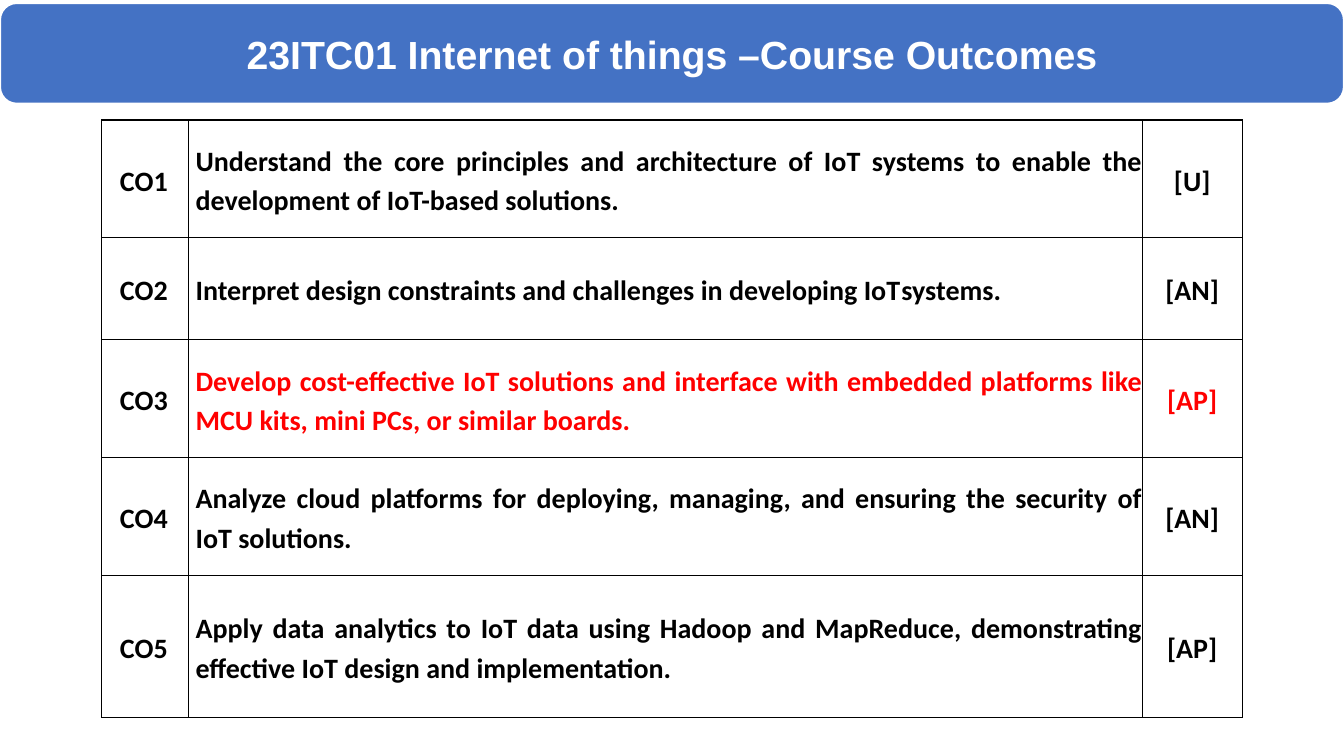
from dataclasses import dataclass

from lxml import etree
from pptx import Presentation
from pptx.dml.color import RGBColor
from pptx.enum.shapes import MSO_SHAPE
from pptx.enum.text import MSO_ANCHOR, PP_ALIGN
from pptx.oxml.ns import qn
from pptx.util import Inches, Pt

ROUND_RECT = MSO_SHAPE.ROUNDED_RECTANGLE
MIDDLE = MSO_ANCHOR.MIDDLE
LEFT, CENTER, JUSTIFY = PP_ALIGN.LEFT, PP_ALIGN.CENTER, PP_ALIGN.JUSTIFY


@dataclass(frozen=True)
class Theme:
    banner: str = "4472C4"
    white: str = "FFFFFF"
    ink: str = "000000"
    accent: str = "FF0000"
    title_font: str = "Arial"
    body_font: str = "Calibri"
    title_size: int = 28
    body_size: int = 20


THEME = Theme()
COLUMN_WIDTHS = (0.86, 9.46, 0.99)
COLUMN_STYLES = ((LEFT, 0.18), (JUSTIFY, 0.07), (CENTER, 0))  # alignment, indent
TAB_STOP = 7.24

# Row height, outcome, level, colour of outcome and level
OUTCOMES = (
    (1.17, "Understand the core principles and architecture of IoT systems "
           "to enable the development of IoT-based solutions.", "[U]", THEME.ink),
    (1.01, "Interpret design constraints and challenges in developing "
           "IoT\tsystems.", "[AN]", THEME.ink),
    (1.17, "Develop cost-effective IoT solutions and interface with embedded "
           "platforms like MCU kits, mini PCs, or similar boards.", "[AP]", THEME.accent),
    (1.17, "Analyze cloud platforms for deploying, managing, and ensuring "
           "the security of IoT solutions.", "[AN]", THEME.ink),
    (1.41, "Apply data analytics to IoT data using Hadoop and MapReduce, "
           "demonstrating effective IoT design and implementation.", "[AP]", THEME.ink),
)


def style_font(p, name, size, color):
    p.font.name = name
    p.font.size = Pt(size)
    p.font.bold = True
    p.font.color.rgb = RGBColor.from_string(color)


def add_banner(slide, text):
    sp = slide.shapes.add_shape(ROUND_RECT, 0, Inches(0.03), Inches(13.33), Inches(1))
    sp.shadow.inherit = False
    sp.fill.solid()
    sp.fill.fore_color.rgb = RGBColor.from_string(THEME.banner)
    sp.line.color.rgb = RGBColor.from_string(THEME.white)
    sp.line.width = Pt(1.5)
    tf = sp.text_frame
    tf.vertical_anchor = MIDDLE
    p = tf.paragraphs[0]
    p.text = text
    p.alignment = CENTER
    style_font(p, THEME.title_font, THEME.title_size, THEME.white)


def set_borders(cell):
    tc_pr = cell._tc.get_or_add_tcPr()
    for i, side in enumerate(("lnL", "lnR", "lnT", "lnB")):
        ln = etree.Element(qn(f"a:{side}"), w=str(Pt(1)))
        fill = etree.SubElement(ln, qn("a:solidFill"))
        etree.SubElement(fill, qn("a:srgbClr"), val=THEME.ink)
        tc_pr.insert(i, ln)


def fill_cell(cell, text, align, indent, color):
    cell.margin_left = cell.margin_right = cell.margin_top = cell.margin_bottom = 0
    cell.vertical_anchor = MIDDLE
    cell.fill.background()
    set_borders(cell)
    p = cell.text_frame.paragraphs[0]
    p.text = text
    p.alignment = align
    p.line_spacing = 1.15
    p_pr = p._p.get_or_add_pPr()
    p_pr.set("marL", str(Inches(indent)))
    p_pr.set("indent", "0")
    if "\t" in text:
        tabs = etree.SubElement(p_pr, qn("a:tabLst"))
        etree.SubElement(tabs, qn("a:tab"), pos=str(Inches(TAB_STOP)), algn="l")
    style_font(p, THEME.body_font, THEME.body_size, color)


def add_outcome_table(slide):
    height = sum(row[0] for row in OUTCOMES)
    frame = slide.shapes.add_table(
        len(OUTCOMES), len(COLUMN_WIDTHS), Inches(1.01), Inches(1.19),
        Inches(sum(COLUMN_WIDTHS)), Inches(height))
    table = frame.table
    table.first_row = table.horz_banding = False
    for column, width in zip(table.columns, COLUMN_WIDTHS):
        column.width = Inches(width)
    for i, (row_height, outcome, level, color) in enumerate(OUTCOMES):
        table.rows[i].height = Inches(row_height)
        texts = (f"CO{i + 1}", outcome, level)
        colors = (THEME.ink, color, color)
        for j, (align, indent) in enumerate(COLUMN_STYLES):
            fill_cell(table.cell(i, j), texts[j], align, indent, colors[j])


def main():
    prs = Presentation()
    prs.slide_width, prs.slide_height = Inches(13.33), Inches(7.5)
    slide = prs.slides.add_slide(prs.slide_layouts[6])

    # Title banner
    add_banner(slide, "23ITC01 Internet of things –Course Outcomes")

    # Course outcomes with their levels
    add_outcome_table(slide)

    prs.save("out.pptx")


if __name__ == "__main__":
    main()
